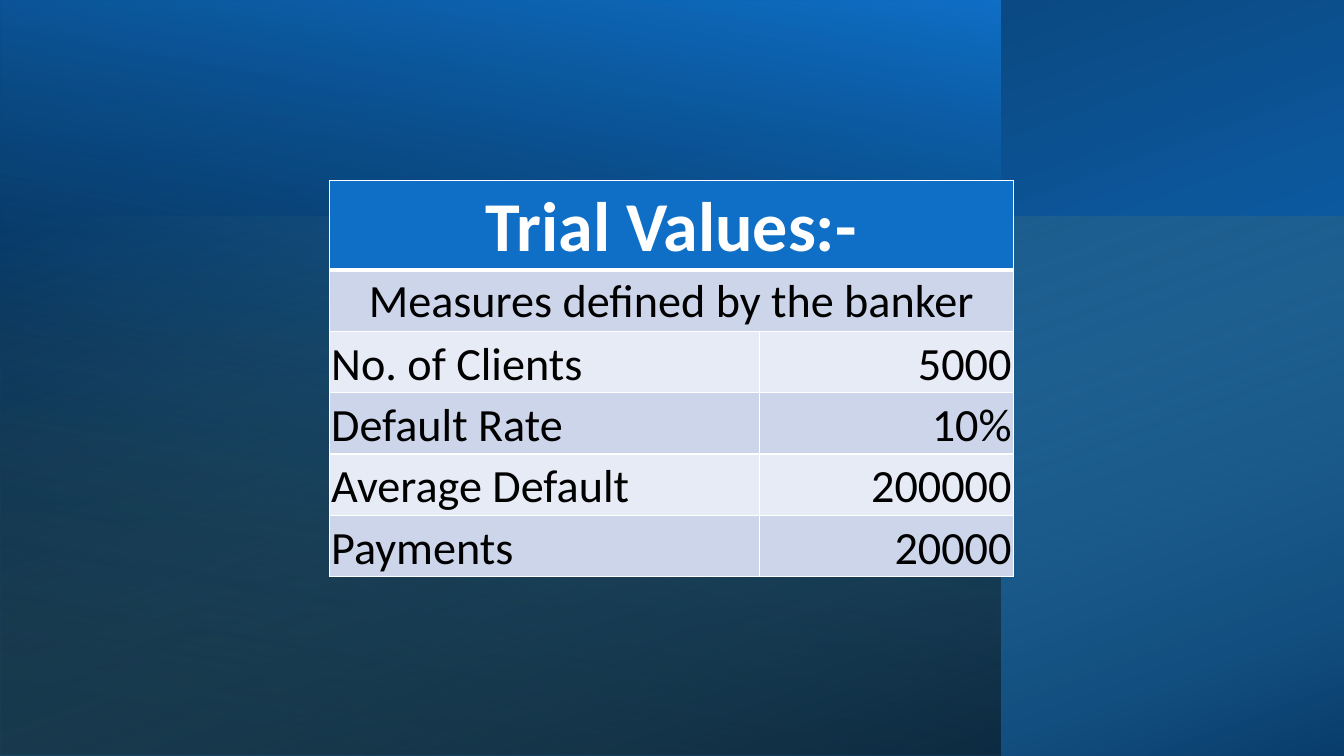
import pptx
import pptx.dml.color
import pptx.enum.shapes
import pptx.enum.text
import pptx.oxml.ns
import pptx.util
from lxml import etree

Pt = pptx.util.Pt
RGBColor = pptx.dml.color.RGBColor
ALIGN = pptx.enum.text.PP_ALIGN
ANCHOR = pptx.enum.text.MSO_ANCHOR
qn = pptx.oxml.ns.qn

BLUE = RGBColor(0x0F, 0x6F, 0xC6)
NAVY = RGBColor(0x08, 0x37, 0x63)
GREEN = RGBColor(0xB0, 0xDF, 0xA1)
BLACK = RGBColor(0, 0, 0)
WHITE = RGBColor(0xFF, 0xFF, 0xFF)
BAND_DARK = RGBColor(0xCC, 0xD5, 0xEA)
BAND_LIGHT = RGBColor(0xE7, 0xEB, 0xF5)

FONT = "Calibri"
TITLE = "Trial Values:-"
SUBTITLE = "Measures defined by the banker"
MEASURES = [
    ("No. of Clients", "5000"),
    ("Default Rate", "10%"),
    ("Average Default", "200000"),
    ("Payments", "20000"),
]


def add_gradient_panel(slide, bounds, rotation, angle, stops):
    panel = slide.shapes.add_shape(
        pptx.enum.shapes.MSO_SHAPE.RECTANGLE, *[Pt(length) for length in bounds]
    )
    panel.shadow.inherit = False
    panel.rotation = rotation
    panel._element.spPr.find(qn("a:xfrm")).set("flipH", "1")
    panel.line.fill.background()
    panel.fill.gradient()
    panel.fill.gradient_angle = 360 - angle
    for stop, (position, color, opacity) in zip(panel.fill.gradient_stops, stops):
        stop.position = position
        stop.color.rgb = color
        if opacity < 100:
            color_node = stop._gs.find(qn("a:srgbClr"))
            alpha = etree.SubElement(color_node, qn("a:alpha"))
            alpha.set("val", str(opacity * 1000))


def set_borders(cell, bottom_width):
    properties = cell._tc.get_or_add_tcPr()
    widths = {"a:lnL": 1, "a:lnR": 1, "a:lnT": 1, "a:lnB": bottom_width}
    for index, (tag, width) in enumerate(widths.items()):
        line = etree.Element(qn(tag), w=str(Pt(width)))
        fill = etree.SubElement(line, qn("a:solidFill"))
        etree.SubElement(fill, qn("a:srgbClr"), val=str(WHITE))
        properties.insert(index, line)


def style_cell(cell, fill, bottom_width=1):
    cell.fill.solid()
    cell.fill.fore_color.rgb = fill
    cell.margin_left = cell.margin_right = cell.margin_top = Pt(1.2)
    cell.margin_bottom = 0
    set_borders(cell, bottom_width)


def write_cell(cell, text, align, anchor=ANCHOR.BOTTOM, size=33, color=BLACK, bold=False):
    cell.text_frame.text = text
    cell.vertical_anchor = anchor
    para = cell.text_frame.paragraphs[0]
    para.alignment = align
    font = para.runs[0].font
    font.name = FONT
    font.size = Pt(size)
    font.bold = bold
    font.color.rgb = color


def add_measures_table(slide):
    header_height, row_height = 64, 43.8
    row_count = len(MEASURES) + 2
    table = slide.shapes.add_table(
        row_count, 2, Pt(235.4), Pt(128.9), Pt(488.4),
        Pt(header_height + row_height * (row_count - 1)),
    ).table
    table.columns[0].width = Pt(307.4)
    table.columns[1].width = Pt(181)
    for index, row in enumerate(table.rows):
        row.height = Pt(row_height if index else header_height)
        band = BAND_DARK if index % 2 else BAND_LIGHT
        for cell in row.cells:
            style_cell(cell, band if index else BLUE, 1 if index else 3)
    for index in range(2):
        table.cell(index, 0).merge(table.cell(index, 1))
    write_cell(table.cell(0, 0), TITLE, ALIGN.CENTER, size=50, color=WHITE, bold=True)
    write_cell(table.cell(1, 0), SUBTITLE, ALIGN.CENTER, anchor=ANCHOR.MIDDLE)
    for index, (label, value) in enumerate(MEASURES, start=2):
        write_cell(table.cell(index, 0), label, ALIGN.LEFT)
        write_cell(table.cell(index, 1), value, ALIGN.RIGHT)


def main():
    deck = pptx.Presentation()
    deck.slide_width = Pt(960)
    deck.slide_height = Pt(540)
    slide = deck.slides.add_slide(deck.slide_layouts.get_by_name("Blank"))
    add_gradient_panel(slide, (210, -210, 540, 960), 270, 200,
                       [(0.08, BLUE, 100), (1, NAVY, 100)])
    add_gradient_panel(slide, (0, 0, 714.3, 540), 180, 80,
                       [(0.08, BLACK, 52), (1, BLUE, 100)])
    add_gradient_panel(slide, (287.3, -132.7, 385.4, 960), 270, 20,
                       [(0, GREEN, 0), (1, BLACK, 46)])
    add_measures_table(slide)
    deck.save("out.pptx")


if __name__ == "__main__":
    main()
